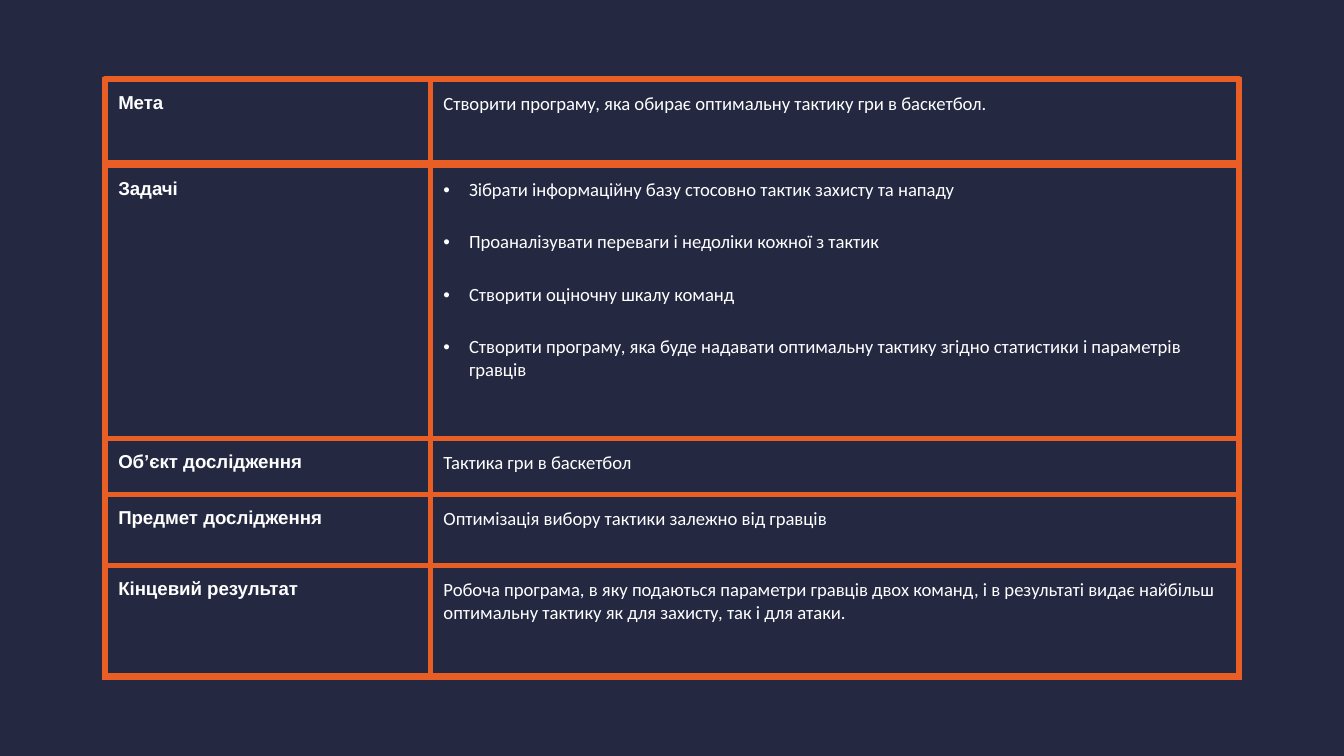
from dataclasses import dataclass

from lxml import etree
from pptx import Presentation
from pptx import util as u
from pptx.dml.color import RGBColor
from pptx.enum import shapes
from pptx.oxml import ns


@dataclass(frozen=True)
class Theme:
    background: str = "242841"
    accent: str = "E95E24"
    ink: str = "FFFFFF"
    label_font: str = "Arial"
    body_font: str = "Calibri"
    size: int = 10
    line: int = 3
    gap: int = 16
    inset: float = 0.1
    indent: float = 0.19


class SlideBuilder:
    def __init__(self, slide, theme):
        self.slide = slide
        self.theme = theme
        fill = slide.background.fill
        fill.solid()
        fill.fore_color.rgb = RGBColor.from_string(theme.background)

    def outline(self, shape):
        shape.line.color.rgb = RGBColor.from_string(self.theme.accent)
        shape.line.width = u.Pt(self.theme.line)

    def frame(self, left, top, width, height):
        box = self.slide.shapes.add_shape(
            shapes.MSO_SHAPE.RECTANGLE, *map(u.Inches, (left, top, width, height)))
        box.shadow.inherit = False
        box.fill.background()
        self.outline(box)

    def rule(self, left, right, top):
        line = self.slide.shapes.add_connector(
            shapes.MSO_CONNECTOR.STRAIGHT, *map(u.Inches, (left, top, right, top)))
        self.outline(line)
        etree.SubElement(line._element.spPr, ns.qn("a:effectLst"))

    def borders(self, cell):
        properties = cell._tc.get_or_add_tcPr()
        for position, side in enumerate(("lnL", "lnR", "lnT", "lnB")):
            border = etree.Element(ns.qn(f"a:{side}"), w=str(u.Pt(self.theme.line)))
            fill = etree.SubElement(border, ns.qn("a:solidFill"))
            etree.SubElement(fill, ns.qn("a:srgbClr"), val=self.theme.accent)
            properties.insert(position, border)

    def bullet(self, para):
        properties = para._p.get_or_add_pPr()
        indent = u.Inches(self.theme.indent)
        properties.set("marL", str(indent))
        properties.set("indent", str(-indent))
        color = etree.SubElement(properties, ns.qn("a:buClr"))
        etree.SubElement(color, ns.qn("a:srgbClr"), val=self.theme.ink)
        etree.SubElement(properties, ns.qn("a:buFont"), typeface="Arial")
        etree.SubElement(properties, ns.qn("a:buChar"), char="•")

    def cell(self, cell, lines, label, gap):
        theme = self.theme
        cell.fill.background()
        self.borders(cell)
        cell.margin_left = cell.margin_right = u.Inches(theme.inset)
        cell.margin_top = cell.margin_bottom = u.Inches(theme.inset)
        cell.text = "\n".join(lines)
        for para in cell.text_frame.paragraphs:
            para.space_after = u.Pt(gap)
            if len(lines) > 1:
                self.bullet(para)
            para.font.name = theme.label_font if label else theme.body_font
            para.font.size = u.Pt(theme.size)
            para.font.bold = label
            para.font.color.rgb = RGBColor.from_string(theme.ink)

    def table(self, left, top, widths, heights, rows):
        area = (left, top, sum(widths), sum(heights))
        table = self.slide.shapes.add_table(
            len(heights), len(widths), *map(u.Inches, area)).table
        table.first_row = table.horz_banding = False
        for column, width in zip(table.columns, widths):
            column.width = u.Inches(width)
        for row, height, (label, lines) in zip(table.rows, heights, rows):
            row.height = u.Inches(height)
            last = label == rows[-1][0]
            self.cell(row.cells[0], [label], True, 0)
            self.cell(row.cells[1], lines, False, 0 if last else self.theme.gap)


PROJECT = [
    ("Мета", ["Створити програму, яка обирає оптимальну тактику гри в баскетбол."]),
    ("Задачі", [
        "Зібрати інформаційну базу стосовно тактик захисту та нападу",
        "Проаналізувати переваги і недоліки кожної з тактик",
        "Створити оціночну шкалу команд",
        "Створити програму, яка буде надавати оптимальну тактику "
        "згідно статистики і параметрів гравців",
    ]),
    ("Об’єкт дослідження", ["Тактика гри в баскетбол"]),
    ("Предмет дослідження", ["Оптимізація вибору тактики залежно від гравців"]),
    ("Кінцевий результат", [
        "Робоча програма, в яку подаються параметри гравців двох команд, "
        "і в результаті видає найбільш оптимальну тактику як для захисту, "
        "так і для атаки.",
    ]),
]

deck = Presentation()
deck.slide_width, deck.slide_height = u.Inches(10), u.Inches(10 * 9 / 16)
page = SlideBuilder(deck.slides.add_slide(deck.slide_layouts[6]), Theme())
page.frame(0.78, 0.59, 8.44, 4.44)
page.rule(0.8, 9.2, 1.21)
page.table(0.78, 0.59, [2.42, 6.02], [0.64, 2.03, 0.42, 0.53, 0.83], PROJECT)
deck.save("out.pptx")
